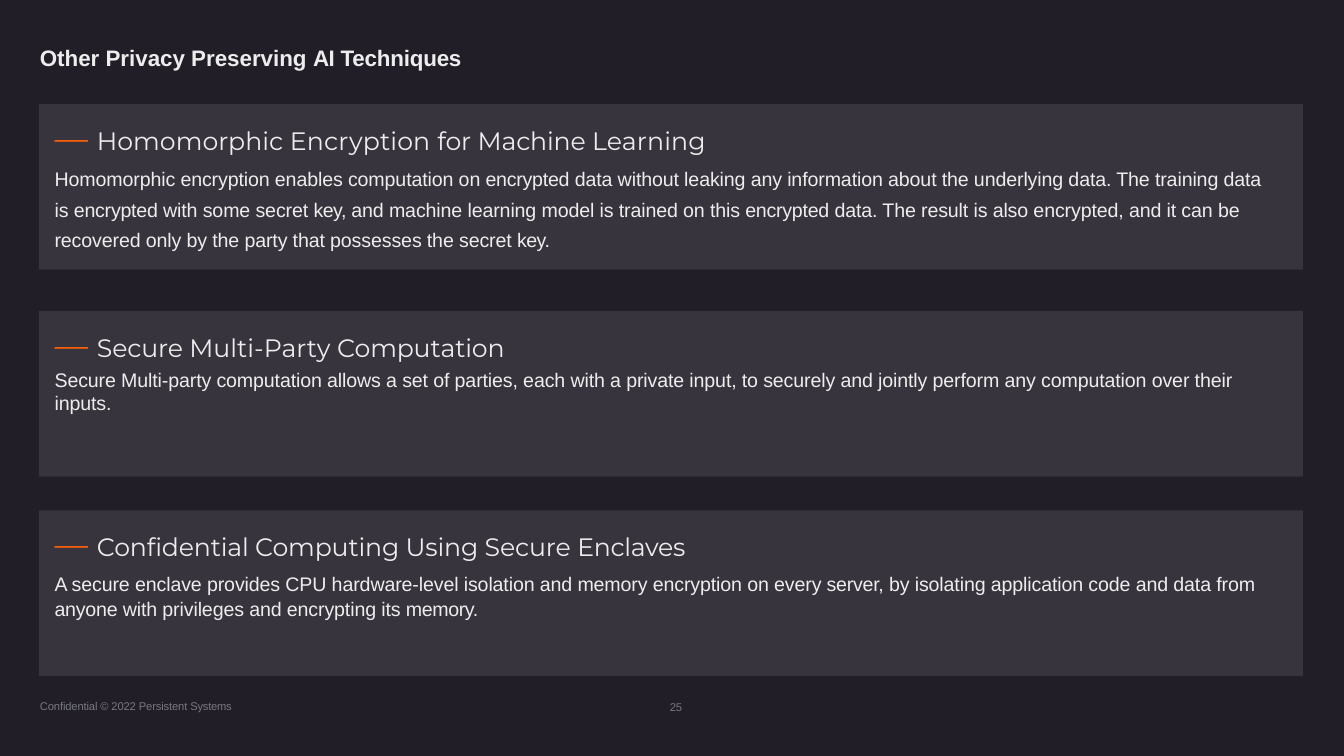
from lxml.etree import SubElement
from pptx import Presentation
from pptx.dml.color import RGBColor as Rgb
from pptx.enum.shapes import MSO_SHAPE as Kind
from pptx.enum.text import MSO_ANCHOR as Anchor
from pptx.oxml.ns import qn
from pptx.util import Emu, Pt

PX = 9525
HUES = {"back": "221E28", "card": "4E4A53", "text": "EDEDED",
        "dash": "FC5F07", "foot": "79787E"}

CARDS = [
    (99,
     [("Homomorphic ", 0), ("Encryption ", 10), ("for Machine ", -10), ("Learning", 10)],
     [(2.6, 1.29, [
         ("Homomorphic encryption enables computation on ", -10),
         ("encrypted ", -20),
         ("data without leaking any information about the underlying data. "
          "The training data is ", -10),
         ("encrypted ", -20),
         ("with some secret ", -10),
         ("key, ", -40),
         ("and machine learning model is trained on this ", -10),
         ("encrypted ", -20),
         ("data. The result is also encrypted, and it can be recovered only "
          "by the party that possesses the secret ", -10),
         ("key.", -40)])]),
    (296,
     [("Secure ", -10), ("Multi-Party ", 0), ("Computation", -10)],
     [(2.8, 1, [
         ("Secure Multi-party computation allows a set of parties, each with "
          "a private input, to securely and jointly perform any computation "
          "over their", -10)]),
      (0, 1, [("inputs.", -10)])]),
    (486,
     [("Confidential Computing Using Secure ", -10), ("Enclaves", -20)],
     [(5.9, 1, [
         ("A secure enclave provides CPU hardware-level isolation and memory "
          "encryption on every ", -10),
         ("server, ", -20),
         ("by isolating application code and data from", -10)]),
      (1.7, 1, [
          ("anyone ", -20),
          ("with privileges and encrypting its ", -10),
          ("memory.", -30)])]),
]


def px(*nums):
    return [Emu(n * PX) for n in nums]


def add_runs(para, runs, size, face, hue, bold=False):
    for text, gap in runs:
        run = para.add_run()
        run.text = text
        font = run.font
        font.size, font.name, font.bold = Pt(size), face, bold
        font.color.rgb = Rgb.from_string(HUES[hue])
        if gap:
            font._element.set("spc", str(gap))


def set_frame(frame, left, top, right):
    frame.word_wrap = True
    frame.vertical_anchor = Anchor.TOP
    (frame.margin_left, frame.margin_top,
     frame.margin_right, frame.margin_bottom) = px(left, top, right, 0)


def add_label(slide, box, inset, runs, size, hue, bold=False):
    frame = slide.shapes.add_textbox(*px(*box)).text_frame
    set_frame(frame, *inset, 0)
    add_runs(frame.paragraphs[0], runs, size, "Arial", hue, bold)


def add_card(slide, box, head, body):
    card = slide.shapes.add_shape(Kind.RECTANGLE, *px(*box))
    card.shadow.inherit = False
    card.line.fill.background()
    card.fill.solid()
    card.fill.fore_color.rgb = Rgb.from_string(HUES["card"])
    tint = card._element.spPr.find(qn("a:solidFill"))[0]
    SubElement(tint, qn("a:alpha")).set("val", "50000")
    frame = card.text_frame
    set_frame(frame, 15, 12, 24)
    title = frame.paragraphs[0]
    title.alignment = 1
    add_runs(title, [("— ", 0)], 24, "Montserrat", "dash")
    add_runs(title, head, 18, "Montserrat", "text")
    for space, pitch, runs in body:
        para = frame.add_paragraph()
        para.alignment = 1
        para.space_before = Pt(space)
        para.line_spacing = float(pitch)
        add_runs(para, runs, 14, "Arial", "text")


def add_foot(slide, left, top):
    add_label(slide, (left, top, 190, 13), (1, 0),
              [("Confidential © 2022 Persistent ", -10), ("Systems", -20)], 8, "foot")
    add_label(slide, (left + 597, top + 1, 23, 13), (4, 0), [("25", -10)], 8, "foot")


def main():
    deck = Presentation()
    deck.slide_width, deck.slide_height = px(1280, 720)
    slide = deck.slides.add_slide(deck.slide_layouts[6])
    back = slide.background.fill
    back.solid()
    back.fore_color.rgb = Rgb.from_string(HUES["back"])
    add_label(slide, (37, 41, 420, 29), (1, 1),
              [("Other Privacy Preserving ", 0), ("AI ", -40), ("Techniques", -10)],
              16, "text", True)
    for top, head, body in CARDS:
        add_card(slide, (37, top, 1204, 158), head, body)
    add_foot(slide, 37, 666)
    deck.save("out.pptx")


if __name__ == "__main__":
    main()
